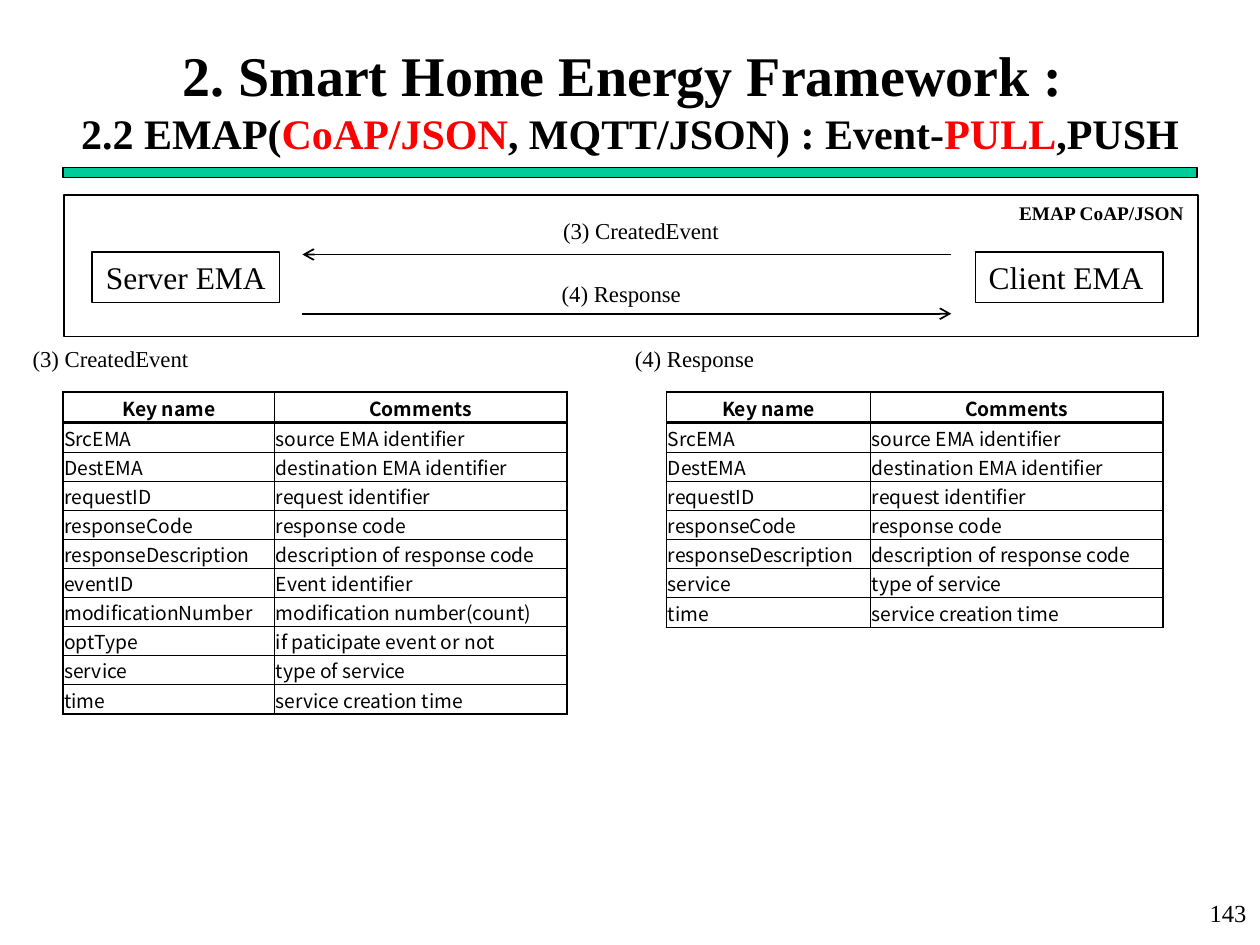
from lxml import etree
from pptx import Presentation
from pptx import util as u
from pptx.dml.color import RGBColor
from pptx.enum import shapes, text
from pptx.oxml import ns

SERIF, SANS = "Times New Roman", "Noto Sans CJK KR"
BLACK, RED, GREEN, WHITE = "000000", "FF0000", "00CC99", "FFFFFF"
LEFT, CENTER, RIGHT = text.PP_ALIGN.LEFT, text.PP_ALIGN.CENTER, text.PP_ALIGN.RIGHT

HEADER = ("Key name", "Comments")
COMMON_KEYS = [
    ("SrcEMA", "source EMA identifier"),
    ("DestEMA", "destination EMA identifier"),
    ("requestID", "request identifier"),
    ("responseCode", "response code"),
    ("responseDescription", "description of response code"),
]
EVENT_KEYS = [
    ("eventID", "Event identifier"),
    ("modificationNumber", "modification number(count)"),
    ("optType", "if paticipate event or not"),
]
SERVICE_KEYS = [("service", "type of service"), ("time", "service creation time")]


def color(value):
    """Turn a hex string into a colour."""
    return RGBColor.from_string(value)


def add_run(paragraph, words, size, font=SERIF, bold=False, ink=BLACK):
    """Append one formatted run."""
    run = paragraph.add_run()
    run.text = words
    run.font.size, run.font.name, run.font.bold = u.Pt(size), font, bold
    run.font.color.rgb = color(ink)


def add_label(slide, box, words, size, align=LEFT, bold=False, wrap=False):
    """Place a line of text in a box."""
    frame = slide.shapes.add_textbox(*map(u.Inches, box)).text_frame
    frame.word_wrap = wrap
    frame.paragraphs[0].alignment = align
    add_run(frame.paragraphs[0], words, size, bold=bold)


def add_box(slide, box, fill, weight, words=""):
    """Draw an outlined rectangle, with centred words if given."""
    rect = slide.shapes.add_shape(shapes.MSO_SHAPE.RECTANGLE, *map(u.Inches, box))
    rect.shadow.inherit = False
    rect.fill.solid()
    rect.fill.fore_color.rgb = color(fill)
    rect.line.color.rgb = color(BLACK)
    rect.line.width = u.Pt(weight)
    if words:
        frame = rect.text_frame
        frame.word_wrap = False
        frame.vertical_anchor = text.MSO_ANCHOR.TOP
        frame.paragraphs[0].alignment = CENTER
        add_run(frame.paragraphs[0], words, 18)


def add_arrow(slide, start, end, y):
    """Draw a level arrow pointing at its end."""
    arrow = slide.shapes.add_connector(
        shapes.MSO_CONNECTOR.STRAIGHT, *map(u.Inches, (start, y, end, y)))
    arrow.line.color.rgb = color(BLACK)
    arrow.line.width = u.Pt(1)
    etree.SubElement(arrow.line._get_or_add_ln(), ns.qn("a:tailEnd"), type="arrow")
    etree.SubElement(arrow._element.spPr, ns.qn("a:effectLst"))


def add_title(slide, box):
    """Write the two-line title above its green rule."""
    left, top, width, _ = box
    frame = slide.shapes.add_textbox(*map(u.Inches, box)).text_frame
    frame.word_wrap = True
    frame.vertical_anchor = text.MSO_ANCHOR.MIDDLE
    title = frame.paragraphs[0]
    title.alignment = CENTER
    add_run(title, "2. Smart Home Energy Framework : ", 32, bold=True)
    title.add_line_break()
    for words, ink in (("2.2 EMAP(", BLACK), ("CoAP/JSON", RED),
                       (", MQTT/JSON) : Event-", BLACK), ("PULL", RED), (",PUSH", BLACK)):
        add_run(title, words, 24, bold=True, ink=ink)
    add_box(slide, (left, top + 1, width, 0.08), GREEN, 0.75)


def add_exchange(slide, box):
    """Show the messages between server and client."""
    left, top, width, _ = box
    add_box(slide, box, WHITE, 1)
    add_box(slide, (left + 0.22, top + 0.45, 1.49, 0.4), WHITE, 0.75, "Server EMA")
    add_box(slide, (left + 7.23, top + 0.45, 1.49, 0.4), WHITE, 0.75, "Client EMA ")
    server_end, client_end = left + 1.89, left + 7.04
    add_arrow(slide, client_end, server_end, top + 0.47)
    add_arrow(slide, server_end, client_end, top + 0.94)
    add_label(slide, (left + 3.86, top + 0.12, 1.45, 0.32), "(3) CreatedEvent", 13)
    add_label(slide, (left + 3.85, top + 0.62, 1.16, 0.32), "(4) Response", 13)
    add_label(slide, (left + width - 1.52, top, 1.55, 0.29), "EMAP CoAP/JSON", 11,
              bold=True, wrap=True)


def set_borders(cell, weights):
    """Draw the cell's left, right, top and bottom borders."""
    props = cell._tc.get_or_add_tcPr()
    for index, (side, weight) in enumerate(zip("LRTB", weights)):
        border = etree.Element(ns.qn(f"a:ln{side}"), w=str(u.Pt(weight)))
        fill = etree.SubElement(border, ns.qn("a:solidFill"))
        etree.SubElement(fill, ns.qn("a:srgbClr"), val=BLACK)
        props.insert(index, border)


def add_key_table(slide, box, key_width, keys):
    """List a message's keys under a heading row."""
    rows = [HEADER, *keys]
    last = len(rows) - 1
    table = slide.shapes.add_table(len(rows), 2, *map(u.Inches, box)).table
    table.horz_banding = False
    table.columns[0].width = u.Inches(key_width)
    table.columns[1].width = u.Inches(box[2] - key_width)
    for r, row in enumerate(rows):
        table.rows[r].height = u.Inches(0.24 if r in (0, 1, last) else 0.23)
        top = {0: 1, 1: 2}.get(r, 0.5)
        bottom = {0: 2, last: 1}.get(r, 0.5)
        for c, words in enumerate(row):
            cell = table.cell(r, c)
            cell.fill.background()
            cell.vertical_anchor = text.MSO_ANCHOR.MIDDLE
            cell.margin_left = cell.margin_right = cell.margin_top = u.Inches(0.01)
            cell.margin_bottom = 0
            paragraph = cell.text_frame.paragraphs[0]
            paragraph.alignment = CENTER if r == 0 else LEFT
            add_run(paragraph, words, 11, SANS, bold=r == 0)
            set_borders(cell, (0.5 if c else 1, 1 if c else 0.5, top, bottom))


def main():
    """Build and save the slide."""
    deck = Presentation()
    deck.slide_width, deck.slide_height = u.Inches(10), u.Inches(7.5)
    slide = deck.slides.add_slide(deck.slide_layouts[6])
    add_title(slide, (0.5, 0.33, 9, 0.92))
    add_exchange(slide, (0.51, 1.55, 9, 1.12))
    add_label(slide, (0.16, 2.69, 1.45, 0.32), "(3) CreatedEvent", 13)
    add_key_table(slide, (0.5, 3.11, 4, 2.55), 1.68,
                  COMMON_KEYS + EVENT_KEYS + SERVICE_KEYS)
    add_label(slide, (4.94, 2.69, 1.16, 0.32), "(4) Response", 13)
    add_key_table(slide, (5.29, 3.11, 3.94, 1.86), 1.62, COMMON_KEYS + SERVICE_KEYS)
    add_label(slide, (7.91, 7.08, 2.08, 0.42), "143", 14, RIGHT, wrap=True)
    deck.save("out.pptx")


if __name__ == "__main__":
    main()
